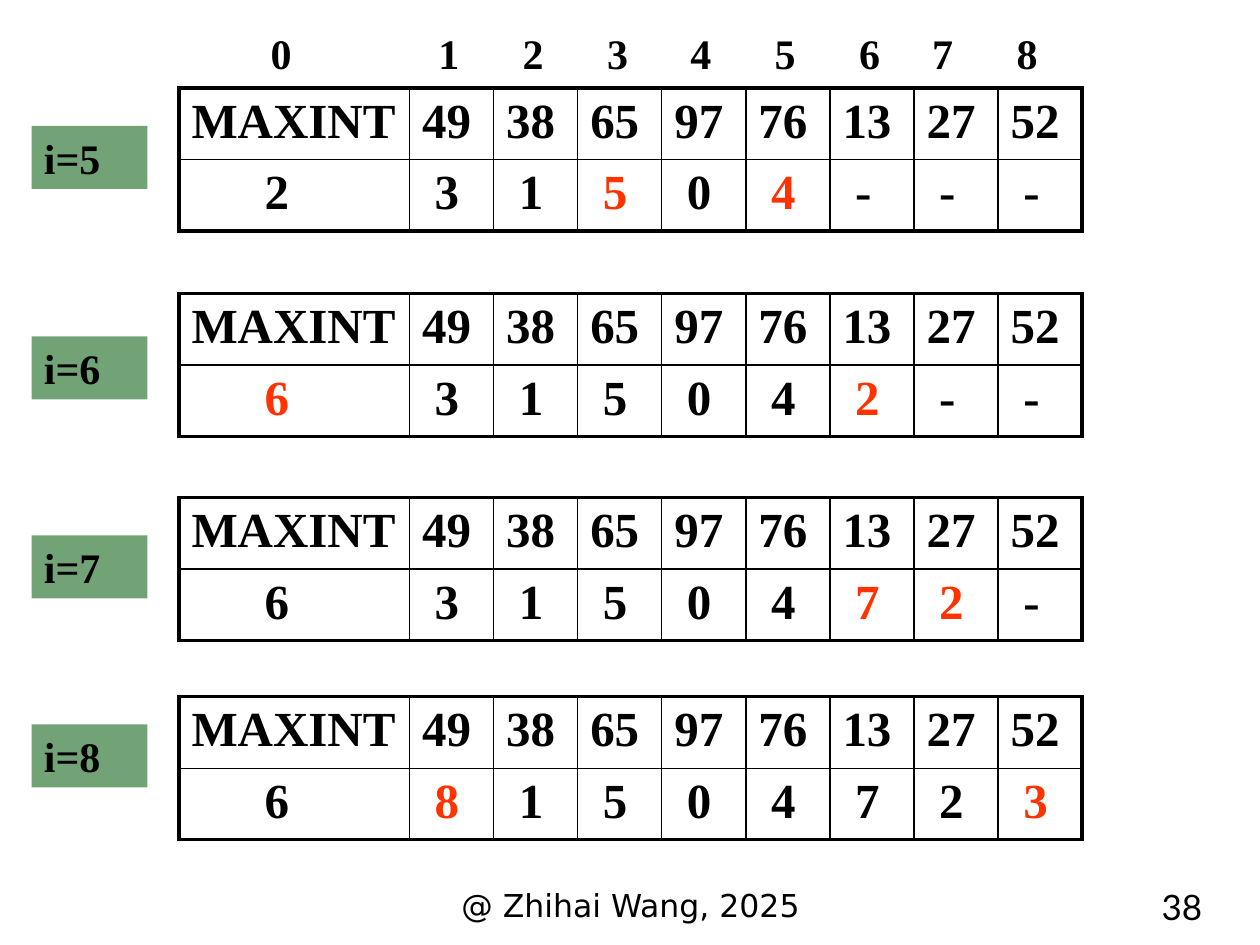
import pptx
import pptx.dml.color
import pptx.enum.shapes
import pptx.enum.text
import pptx.oxml
import pptx.oxml.ns
import pptx.util
from pptx.util import Inches

BLACK = pptx.dml.color.RGBColor(0x00, 0x00, 0x00)
RED = pptx.dml.color.RGBColor(0xFF, 0x33, 0x00)
GREEN = pptx.dml.color.RGBColor(0x72, 0xA3, 0x76)
SERIF = "Times New Roman"
ALIGN = pptx.enum.text.PP_ALIGN

KEYS = ["MAXINT", "49", "38", "65", "97", "76", "13", "27", "52"]
# Label, label top, table top, links, positions of the changed links
STEPS = [
    ("i=5", 1.0, 0.7, "231504---", {3, 5}),
    ("i=6", 2.67, 2.33, "6315042--", {0, 6}),
    ("i=7", 4.25, 3.95, "63150472-", {6, 7}),
    ("i=8", 5.75, 5.53, "681504723", {1, 8}),
]
INDEX_STOPS = [1.33, 2, 2.67, 3.33, 4, 4.67, 5.25, 5.92]
THICK, THIN = 2.25, 1


def write(frame, text, size, font=SERIF, color=BLACK, bold=True, align=ALIGN.LEFT):
    para = frame.paragraphs[0]
    para.text = text
    para.alignment = align
    para.font.size = pptx.util.Pt(size)
    para.font.name = font
    para.font.bold = bold
    para.font.color.rgb = color


def add_text_frame(page, left, top, width, height):
    frame = page.shapes.add_textbox(left, top, width, height).text_frame
    frame.word_wrap = True
    return frame


def set_borders(cell, widths):
    """Draw the left, right, top and bottom borders, in points."""
    properties = cell._tc.get_or_add_tcPr()
    for position, (side, width) in enumerate(zip("LRTB", widths)):
        line = pptx.oxml.parse_xml(
            f'<a:ln{side} {pptx.oxml.ns.nsdecls("a")} w="{pptx.util.Pt(width)}">'
            f'<a:solidFill><a:srgbClr val="{BLACK}"/></a:solidFill></a:ln{side}>')
        properties.insert(position, line)


def add_index_row(page, left, top, width, height):
    frame = add_text_frame(page, left, top, width, height)
    frame.margin_right = 0  # leaves room for the last index
    stops = "".join(f'<a:tab pos="{Inches(stop)}" algn="l"/>' for stop in INDEX_STOPS)
    frame.paragraphs[0]._p.get_or_add_pPr().append(pptx.oxml.parse_xml(
        f'<a:tabLst {pptx.oxml.ns.nsdecls("a")}>{stops}</a:tabLst>'))
    write(frame, "\t".join("012345678"), 24)


def add_list_table(page, left, top, width, height, links, changed):
    count = len(KEYS)
    table = page.shapes.add_table(2, count, left, top, width, height).table
    first_width = Inches(1.83)
    for number, column in enumerate(table.columns):
        column.width = (width - first_width) // (count - 1) if number else first_width
    for row, values in enumerate((KEYS, links)):
        for column, value in enumerate(values):
            cell = table.cell(row, column)
            cell.fill.background()
            set_borders(cell, (
                THICK if column == 0 else THIN,
                THICK if column == count - 1 else THIN,
                THICK if row == 0 else THIN,
                THICK if row == 1 else THIN))
            if row == 1:
                cell.margin_left = Inches(0.2 if column else 0.68)
            color = RED if row == 1 and column in changed else BLACK
            write(cell.text_frame, value, 28, color=color)


def add_step_label(page, left, top, width, height, text):
    label = page.shapes.add_shape(
        pptx.enum.shapes.MSO_SHAPE.RECTANGLE, left, top, width, height)
    label.shadow.inherit = False
    label.fill.solid()
    label.fill.fore_color.rgb = GREEN
    label.line.fill.background()
    label.text_frame.vertical_anchor = pptx.enum.text.MSO_ANCHOR.TOP
    write(label.text_frame, text, 24)


def add_footer(page, top, height):
    credit = add_text_frame(page, Inches(3.42), top, Inches(3.17), height)
    write(credit, "@ Zhihai Wang, 2025", 18, "DejaVu Sans", bold=False, align=ALIGN.CENTER)
    number = add_text_frame(page, Inches(8.11), top, Inches(1.53), height)
    write(number, "38", 20, "Lato", bold=False, align=ALIGN.RIGHT)


def main():
    deck = pptx.Presentation()
    deck.slide_width, deck.slide_height = Inches(10), Inches(7.5)
    page = deck.slides.add_slide(deck.slide_layouts[6])

    # Array positions above the first table
    add_index_row(page, Inches(2.05), Inches(0.17), Inches(6.28), Inches(0.5))

    # One label and one table for each step
    for label, label_top, table_top, links, changed in STEPS:
        add_list_table(page, Inches(1.42), Inches(table_top), Inches(7.17),
                       Inches(1.13), links, changed)
        add_step_label(page, Inches(0.25), Inches(label_top), Inches(0.92),
                       Inches(0.5), label)

    add_footer(page, Inches(6.98), Inches(0.39))
    deck.save("out.pptx")


if __name__ == "__main__":
    main()
